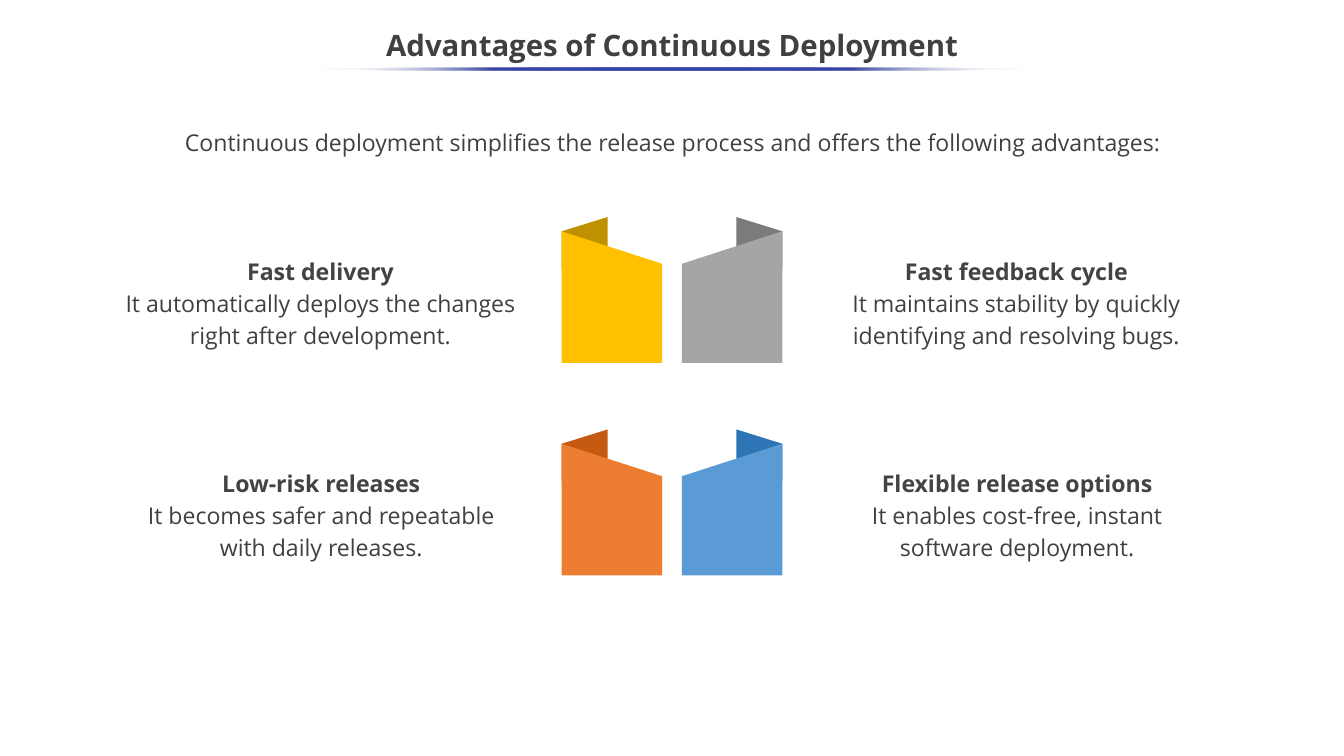
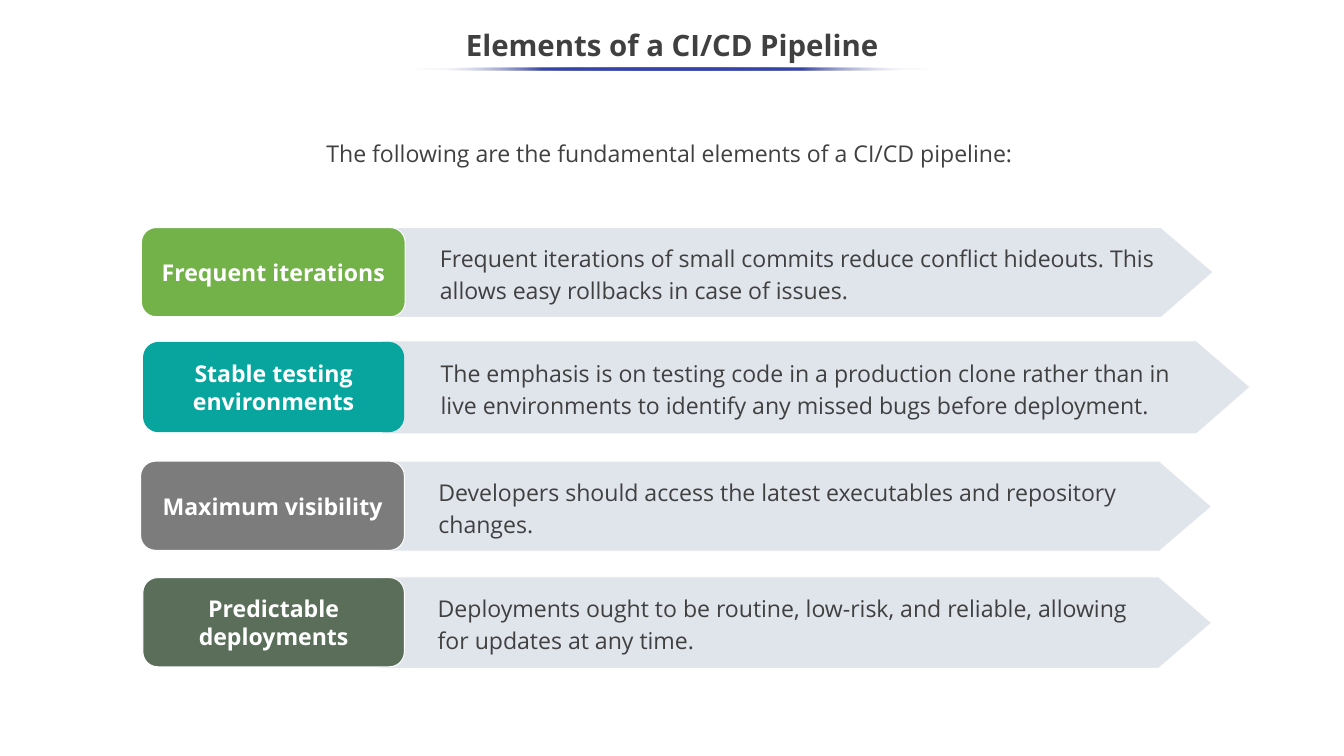
"""Build two slides on continuous deployment and the CI/CD pipeline."""
from lxml.etree import SubElement
from pptx import Presentation
from pptx.dml.color import RGBColor
from pptx.enum.shapes import MSO_SHAPE as Preset
from pptx.enum.text import MSO_ANCHOR as Anchor, PP_ALIGN as Align
from pptx.oxml.ns import qn
from pptx.util import Pt

PX = 9144
WIDTH, HEIGHT = 1778, 1000
INK, HEADING, ACCENT, WHITE, BAND = "404040", "434343", "3645A9", "FFFFFF", "8497B0"
BODY = {"name": "Open Sans", "size": Pt(22), "bold": False}
STRONG = {**BODY, "bold": True}
TITLE = {**STRONG, "size": Pt(28)}


def color(value):
    """Turn a hex string into a colour."""
    return RGBColor.from_string(value)


def px(*lengths):
    """Turn px lengths into EMU."""
    return [round(length * PX) for length in lengths]


class Deck:
    """Holds the presentation, its style and the current slide."""

    def __init__(self):
        """Start an empty deck."""
        self.deck = Presentation()
        self.deck.slide_width, self.deck.slide_height = px(WIDTH, HEIGHT)
        self.page = None

    def add_page(self, title, rule_width):
        """Add a slide with a centred title over a fading rule."""
        self.page = self.deck.slides.add_slide(self.deck.slide_layouts[6])
        self.text((0, 25, WIDTH, 75), [(title, TITLE, INK)], spacing=0.9, anchor=Anchor.MIDDLE)
        self.rule((WIDTH - rule_width) / 2, 89, rule_width, 4)

    def fill_text(self, shape, lines, align=Align.CENTER, spacing=1.15,
                  anchor=Anchor.TOP, insets=(10, 5, 10, 5)):
        """Fill a shape with (text, font, colour) paragraphs."""
        frame = shape.text_frame
        sides = ("margin_left", "margin_top", "margin_right", "margin_bottom")
        settings = {"word_wrap": True, "vertical_anchor": anchor, **dict(zip(sides, px(*insets)))}
        for name, value in settings.items():
            setattr(frame, name, value)
        for index, (text, style, ink) in enumerate(lines):
            para = frame.add_paragraph() if index else frame.paragraphs[0]
            para.alignment, para.line_spacing = align, spacing
            span = para.add_run()
            span.text = text
            for name, value in style.items():
                setattr(span.font, name, value)
            span.font.color.rgb = color(ink)

    def text(self, place, lines, **layout):
        """Add a text box."""
        self.fill_text(self.page.shapes.add_textbox(*px(*place)), lines, **layout)

    def paint(self, shape, fill, line=None):
        """Give a shape a plain fill and an optional outline."""
        shape.shadow.inherit = False
        shape.fill.solid()
        shape.fill.fore_color.rgb = color(fill)
        if line:
            shape.line.color.rgb = color(line)
            shape.line.width = Pt(1)
        else:
            shape.line.fill.background()
        return shape

    def outline(self, points, fill, line=None):
        """Add a closed polygon."""
        builder = self.page.shapes.build_freeform(*points[0], scale=PX)
        builder.add_line_segments(points[1:], close=True)
        return self.paint(builder.convert_to_shape(), fill, line)

    def rule(self, *place):
        """Add a thin ellipse that fades out at both ends."""
        shape = self.page.shapes.add_shape(Preset.OVAL, *px(*place))
        self.paint(shape, ACCENT)
        shape.fill.gradient()
        shape.fill.gradient_angle = 0
        stops = shape.element.spPr.find(qn("a:gradFill")).find(qn("a:gsLst"))
        for stop in list(stops):
            stops.remove(stop)
        for percent in range(0, 101, 25):
            at_end = percent in (0, 100)
            stop = SubElement(stops, qn("a:gs"), pos=str(percent * 1000))
            tone = SubElement(stop, qn("a:srgbClr"), val=WHITE if at_end else ACCENT)
            if at_end:
                SubElement(tone, qn("a:alpha"), val="0")

    def ribbon(self, top, front, fold, mirrored):
        """Add a folded ribbon, mirrored about the slide's centre if asked."""
        def points(*corners):
            return [(WIDTH - x if mirrored else x, top + y) for x, y in corners]
        self.outline(points((743, 68), (743, 19), (804, 0), (804, 68)), fold)
        self.outline(points((876, 193), (876, 62), (743, 19), (743, 193)), front)

    def arrow(self, left, top, width, height, text):
        """Add a translucent arrow band with text."""
        right, bottom = left + width, top + height
        shoulder = round(right - 0.58 * height)
        band = self.outline([(left, top), (shoulder, top), (right, top + height / 2),
                             (shoulder, bottom), (left, bottom)], BAND, WHITE)
        tone = band.element.spPr.find(qn("a:solidFill"))[0]
        SubElement(tone, qn("a:alpha"), val="25000")
        self.fill_text(band, [(text, BODY, INK)], align=Align.LEFT, anchor=Anchor.MIDDLE,
                       insets=(78, 3, 72, 3))

    def label(self, place, text, fill, line):
        """Add a rounded label."""
        shape = self.page.shapes.add_shape(Preset.ROUNDED_RECTANGLE, *px(*place))
        self.paint(shape, fill, line)
        self.fill_text(shape, [(text, STRONG, WHITE)], spacing=1.0, anchor=Anchor.MIDDLE)


def advantages(deck):
    """Build the slide of four advantages."""
    deck.add_page("Advantages of Continuous Deployment", 947)
    deck.text((141, 165, 1498, 99), [(
        "Continuous deployment simplifies the release process and offers the following advantages:",
        BODY, INK)], insets=(10, 0, 10, 0))
    cards = [
        (156, 536, "FFC000", "BF9000", "Fast delivery",
         ["It automatically deploys the changes right after development."]),
        (1065, 559, "A5A5A5", "7B7B7B", "Fast feedback cycle",
         ["It maintains stability by quickly identifying and resolving bugs."]),
        (137, 576, "ED7D31", "C55A11", "Low-risk releases",
         ["It becomes safer and repeatable", "with daily releases."]),
        (1078, 535, "5B9BD5", "2E75B5", "Flexible release options",
         ["It enables cost-free, instant software deployment."]),
    ]
    for index, (left, width, front, fold, heading, details) in enumerate(cards):
        row, column = divmod(index, 2)
        top = 287 + 281 * row
        deck.ribbon(top, front, fold, mirrored=column == 1)
        deck.text((left, top + 43, width, 118), [(heading, STRONG, HEADING)]
                  + [(detail, BODY, INK) for detail in details])


def elements(deck):
    """Build the slide of four pipeline elements."""
    deck.add_page("Elements of a CI/CD Pipeline", 682)
    rows = [
        ((504, 301, 1101, 119), (187, 301, 349, 118), "73B149", WHITE, "Frequent iterations",
         "Frequent iterations of small commits reduce conflict hideouts. "
         "This allows easy rollbacks in case of issues."),
        ((505, 451, 1149, 123), (190, 453, 344, 118), "07A59D", "07A59D",
         "Stable testing environments",
         "The emphasis is on testing code in a production clone rather than in "
         "live environments to identify any missed bugs before deployment."),
        ((502, 610, 1101, 119), (186, 610, 349, 118), "7C7C7C", WHITE, "Maximum visibility",
         "Developers should access the latest executables and repository changes."),
        ((501, 763, 1102, 121), (189, 764, 346, 118), "5A6E5A", WHITE, "Predictable deployments",
         "Deployments ought to be routine, low-risk, and reliable, "
         "allowing for updates at any time."),
    ]
    for band, place, fill, line, name, detail in rows:
        deck.arrow(*band, detail)
        deck.label(place, name, fill, line)
    deck.text((422, 180, 973, 47), [(
        "The following are the fundamental elements of a CI/CD pipeline:", BODY, INK)],
        align=Align.LEFT, spacing=1.0)


def main():
    """Build and save the deck."""
    deck = Deck()
    advantages(deck)
    elements(deck)
    deck.deck.save("out.pptx")


if __name__ == "__main__":
    main()
